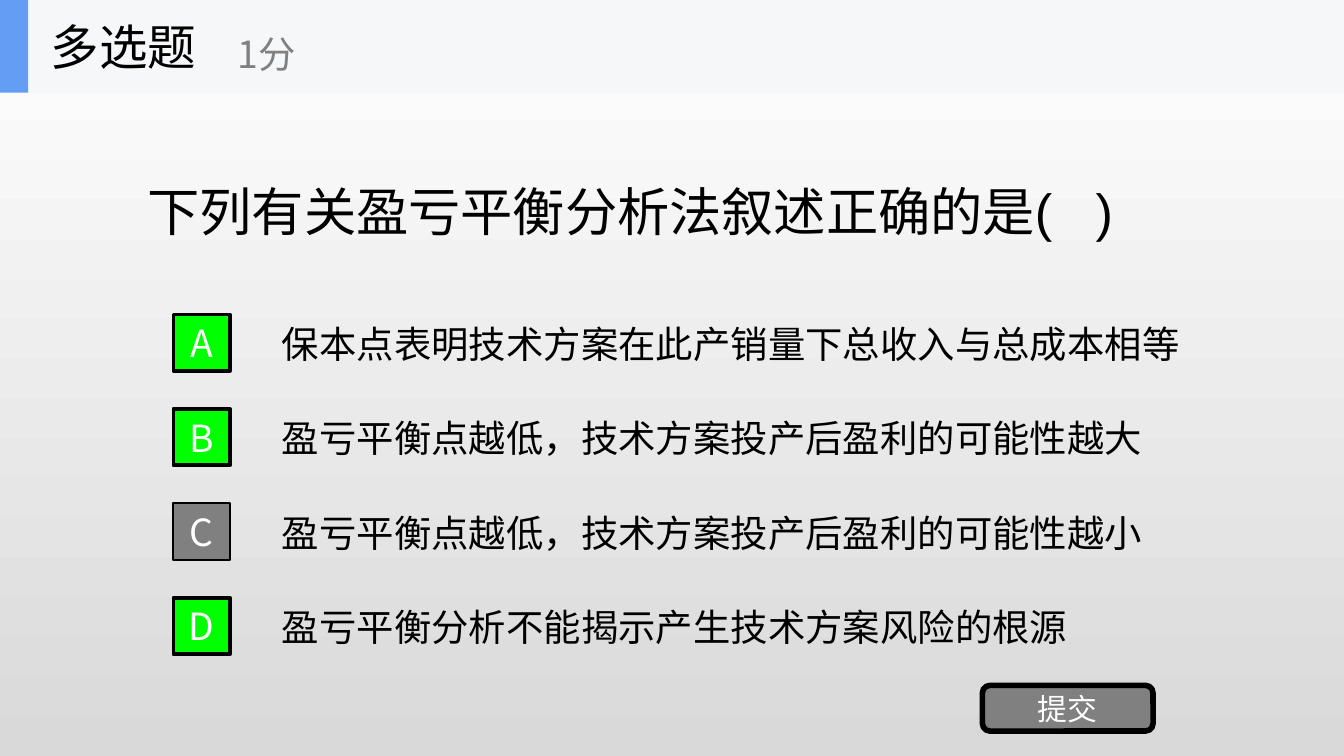
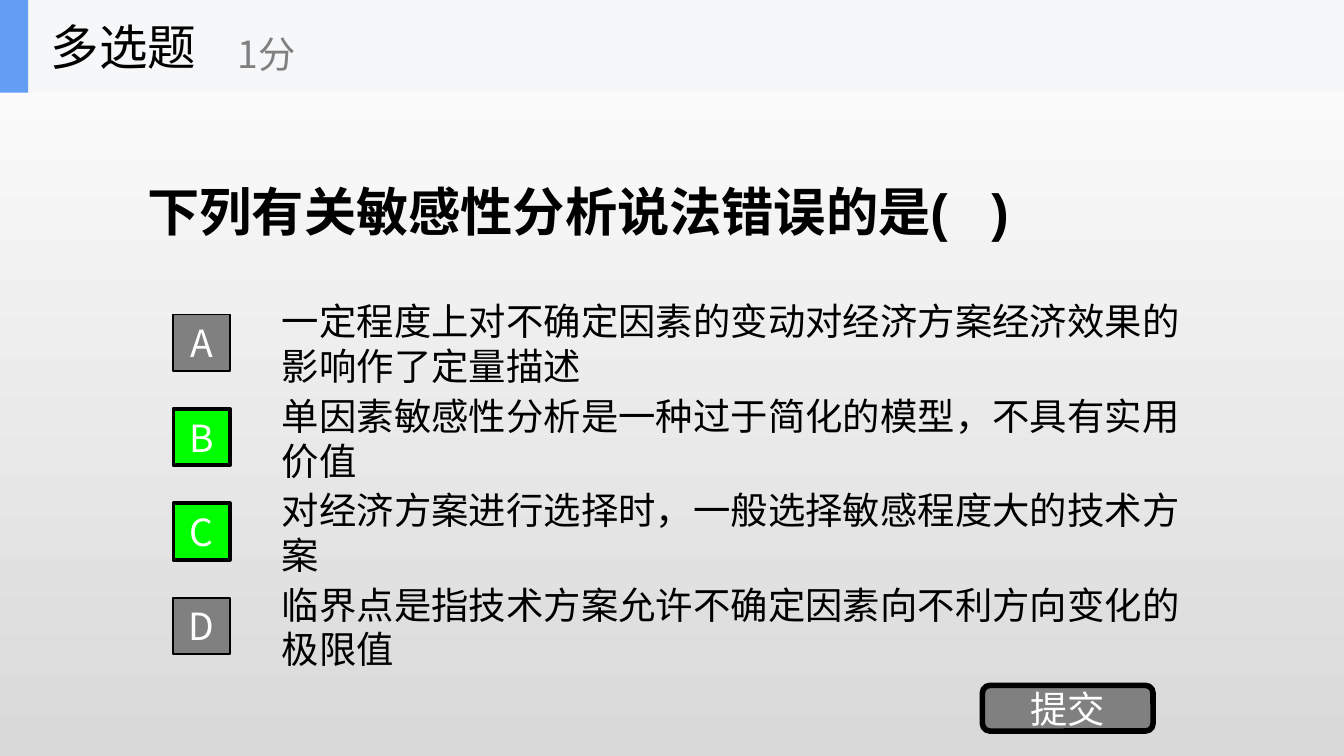
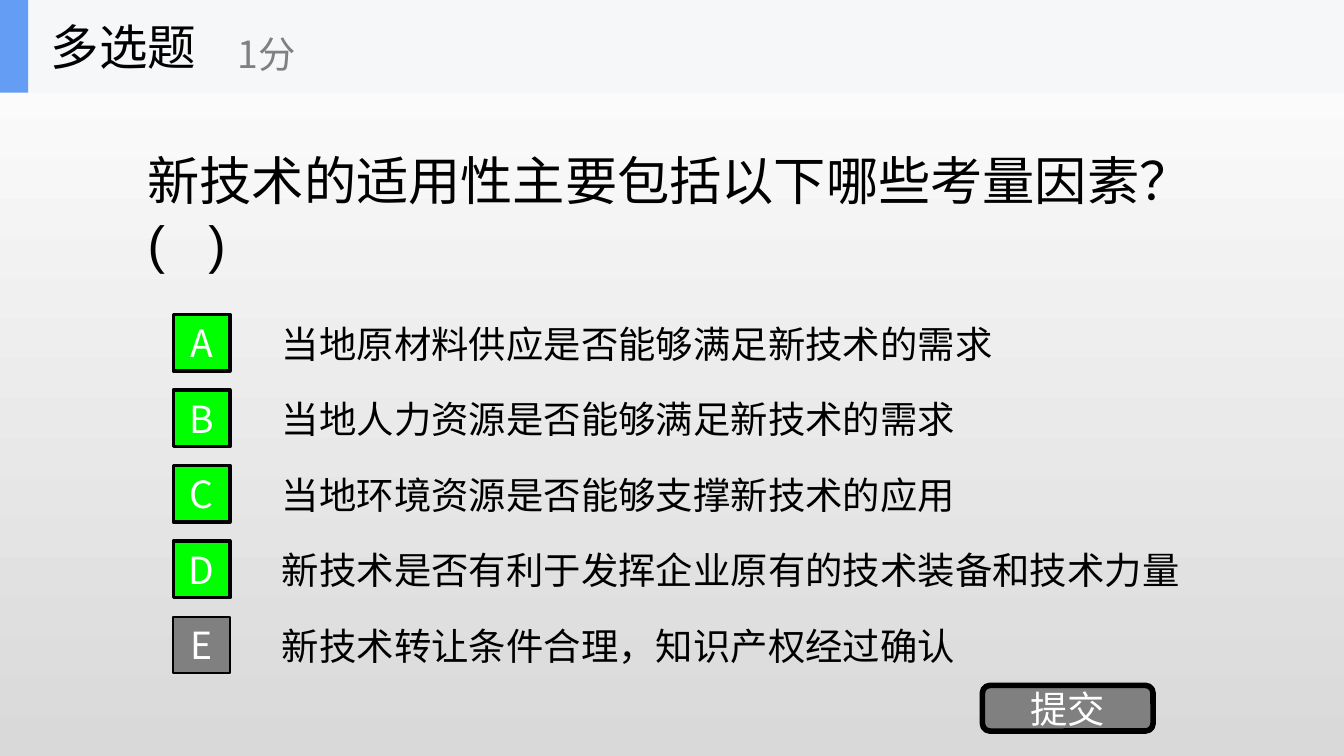
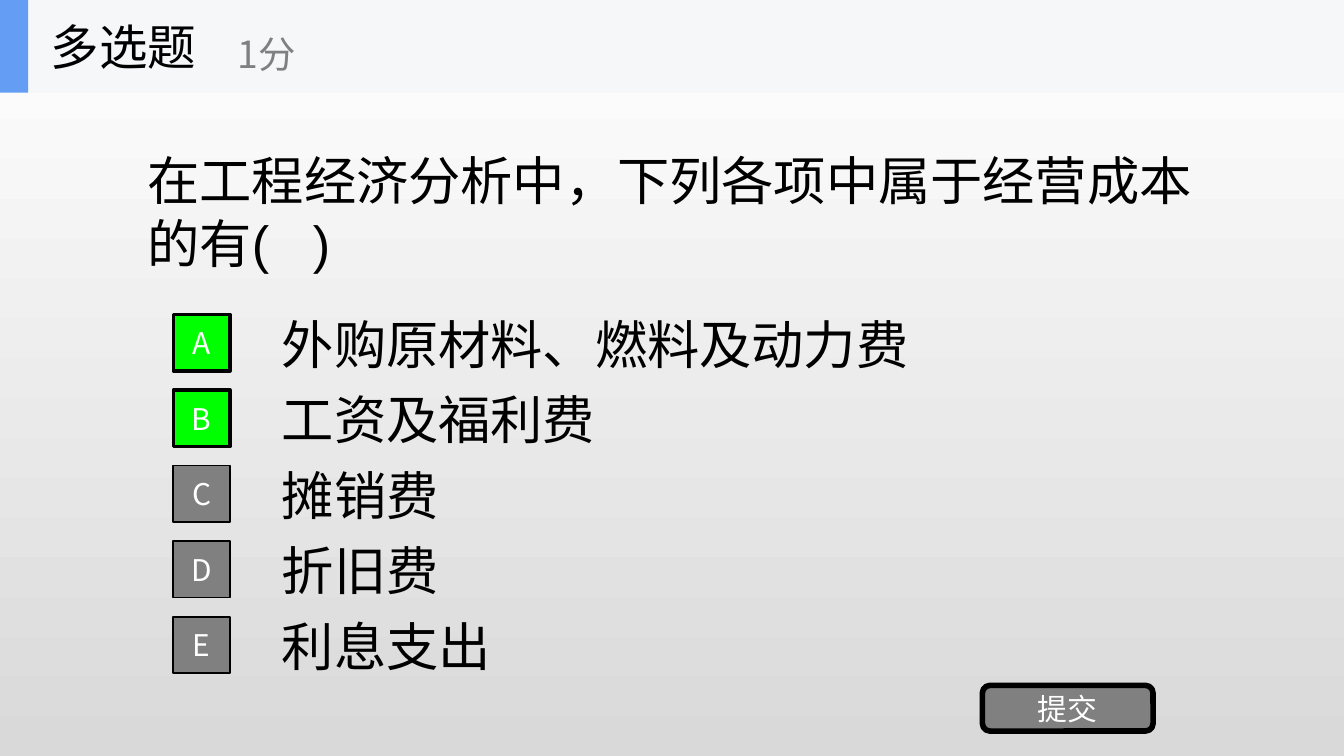
"""Build four multiple-choice quiz slides."""
import dataclasses
import typing

import lxml.etree
import pptx
import pptx.dml.color
import pptx.dml.fill
import pptx.enum.shapes
import pptx.enum.text
import pptx.oxml.ns
import pptx.shapes.autoshape
import pptx.shapes.shapetree
import pptx.slide
import pptx.util

SHAPE = pptx.enum.shapes.MSO_SHAPE
WIDTH = pptx.util.Inches(10)
HEIGHT = pptx.util.Inches(5.625)
CELL = WIDTH / 100


@dataclasses.dataclass(frozen=True)
class Theme:
    """Hold the colours, fonts and type sizes."""
    ink: str = "000000"
    paper: str = "FFFFFF"
    shade: str = "D9D9D9"
    muted: str = "808080"
    correct: str = "00FF00"
    band: str = "F6F7F8"
    accent: str = "639EF4"
    latin: str = "Arial"
    cjk: str = "Noto Sans CJK SC"
    kind: int = 26
    question: int = 28
    body: int = 20
    small: int = 16


class Box(typing.NamedTuple):
    """Place an element in cells of a grid 100 columns wide."""
    col: float
    row: float
    cols: float
    rows: float

    def emu(self) -> list[int]:
        """Convert the cells to slide units."""
        return [round(v * CELL) for v in self]

    def down(self, rows: float) -> "Box":
        """Move the box down by some rows."""
        return self._replace(row=self.row + rows)


class Style(typing.NamedTuple):
    """Describe the type of one text."""
    size: int
    color: str
    font: str
    bold: bool = False
    centred: bool = False


@dataclasses.dataclass(frozen=True)
class Quiz:
    """Describe one question with its options and right answers."""
    question: str
    options: tuple[str, ...]
    answers: str
    bold: bool = False
    option_size: int = 20
    badge_size: int = 20
    submit_size: int = 20


T = Theme()
BAND = Box(0, 0, 100, 6.9)
ACCENT = Box(0, 0, 2.1, 6.9)
KIND = Box(2.8, 0, 20.8, 6.9)
SCORE = Box(16.7, 1.2, 25, 5.6)
QUESTION = Box(10, 6.9, 80, 17.6)
OPTION = Box(20, 22.9, 70, 5.3)
BADGE = Box(12.9, 23.4, 4.2, 4.2)
SUBMIT = Box(73.1, 51, 12.7, 3.4)
OPTION_ROWS = 28.1

QUIZZES = (
    Quiz("下列有关盈亏平衡分析法叙述正确的是(   )",
         ("保本点表明技术方案在此产销量下总收入与总成本相等",
          "盈亏平衡点越低，技术方案投产后盈利的可能性越大",
          "盈亏平衡点越低，技术方案投产后盈利的可能性越小",
          "盈亏平衡分析不能揭示产生技术方案风险的根源"),
         "ABD", submit_size=T.small),
    Quiz("下列有关敏感性分析说法错误的是(   )",
         ("一定程度上对不确定因素的变动对经济方案经济效果的影响作了定量描述",
          "单因素敏感性分析是一种过于简化的模型，不具有实用价值",
          "对经济方案进行选择时，一般选择敏感程度大的技术方案",
          "临界点是指技术方案允许不确定因素向不利方向变化的极限值"),
         "BC", bold=True),
    Quiz("新技术的适用性主要包括以下哪些考量因素？(   )",
         ("当地原材料供应是否能够满足新技术的需求",
          "当地人力资源是否能够满足新技术的需求",
          "当地环境资源是否能够支撑新技术的应用",
          "新技术是否有利于发挥企业原有的技术装备和技术力量",
          "新技术转让条件合理，知识产权经过确认"),
         "ABCD"),
    Quiz("在工程经济分析中，下列各项中属于经营成本的有(   )",
         ("外购原材料、燃料及动力费", "工资及福利费", "摊销费", "折旧费", "利息支出"),
         "AB", option_size=T.question, badge_size=T.small, submit_size=T.small),
)


def rgb(color: str) -> pptx.dml.color.RGBColor:
    """Turn a hex string into a colour."""
    return pptx.dml.color.RGBColor.from_string(color)


def write(sp: pptx.shapes.autoshape.Shape, text: str, style: Style, wrap: bool = True) -> None:
    """Set a shape's text and format it."""
    tf = sp.text_frame
    tf.text = text
    tf.word_wrap = wrap
    tf.vertical_anchor = pptx.enum.text.MSO_ANCHOR.MIDDLE
    p = tf.paragraphs[0]
    align = pptx.enum.text.PP_ALIGN
    p.alignment = align.CENTER if style.centred else align.LEFT
    r = p.runs[0]
    r.font.size = pptx.util.Pt(style.size)
    r.font.bold = style.bold
    r.font.color.rgb = rgb(style.color)
    r.font.name = style.font
    ea = lxml.etree.SubElement(r._r.get_or_add_rPr(), pptx.oxml.ns.qn("a:ea"))
    ea.set("typeface", T.cjk)


def add_text(shapes: pptx.shapes.shapetree.GroupShapes | pptx.shapes.shapetree.SlideShapes,
             box: Box, text: str, style: Style, wrap: bool = True) -> None:
    """Add a text box."""
    write(shapes.add_textbox(*box.emu()), text, style, wrap)


def add_block(shapes: pptx.shapes.shapetree.GroupShapes | pptx.shapes.shapetree.SlideShapes,
              box: Box, fill: str, line: float = 0,
              preset: SHAPE = SHAPE.RECTANGLE) -> pptx.shapes.autoshape.Shape:
    """Add a filled shape, outlined when a line width is given."""
    sp = shapes.add_shape(preset, *box.emu())
    sp.shadow.inherit = False
    sp.fill.solid()
    sp.fill.fore_color.rgb = rgb(fill)
    if line:
        sp.line.color.rgb = rgb(T.ink)
        sp.line.width = pptx.util.Pt(line)
    else:
        sp.line.fill.background()
    return sp


def add_background(s: pptx.slide.Slide) -> None:
    """Fill the slide with a gradient from top to bottom."""
    fill = s.background.fill
    fill.gradient()
    fill.gradient_angle = 270
    for stop, color in zip(fill.gradient_stops, (T.paper, T.shade)):
        stop.color.rgb = rgb(color)


def add_header(s: pptx.slide.Slide) -> None:
    """Add the band with the question kind and score."""
    shapes = s.shapes.add_group_shape().shapes
    add_block(shapes, BAND, T.band)
    add_block(shapes, ACCENT, T.accent)
    add_text(shapes, KIND, "多选题", Style(T.kind, T.ink, T.cjk), wrap=False)
    add_text(shapes, SCORE, "1分", Style(T.body, T.muted, T.cjk), wrap=False)


def add_quiz(s: pptx.slide.Slide, quiz: Quiz) -> None:
    """Draw one question slide."""
    add_background(s)
    add_text(s.shapes, QUESTION, quiz.question,
             Style(T.question, T.ink, T.latin, bold=quiz.bold))
    pitch = OPTION_ROWS / len(quiz.options)
    badge_style = Style(quiz.badge_size, T.paper, T.cjk, centred=True)
    for i, (letter, option) in enumerate(zip("ABCDE", quiz.options)):
        right = letter in quiz.answers
        add_text(s.shapes, OPTION.down(i * pitch), option,
                 Style(quiz.option_size, T.ink, T.latin))
        badge = add_block(s.shapes, BADGE.down(i * pitch),
                          T.correct if right else T.muted, 2 if right else 1)
        write(badge, letter, badge_style)
    submit = add_block(s.shapes, SUBMIT, T.muted, 3, SHAPE.ROUNDED_RECTANGLE)
    write(submit, "提交", Style(quiz.submit_size, T.paper, T.cjk, centred=True))
    add_header(s)


def main() -> None:
    """Build and save the presentation."""
    prs = pptx.Presentation()
    prs.slide_width, prs.slide_height = WIDTH, HEIGHT
    for quiz in QUIZZES:
        add_quiz(prs.slides.add_slide(prs.slide_layouts[6]), quiz)
    prs.save("out.pptx")


if __name__ == "__main__":
    main()
